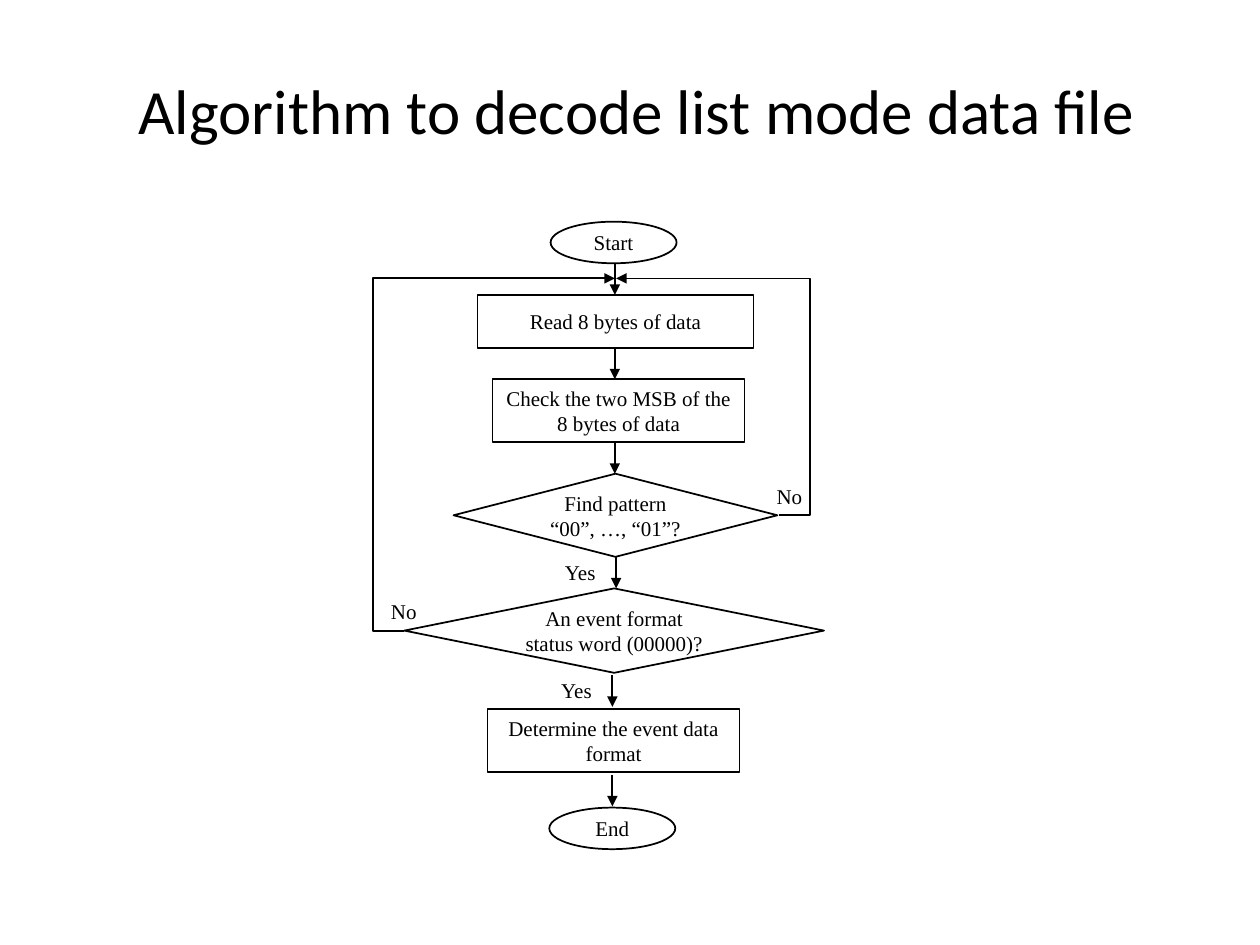
from dataclasses import dataclass

from lxml import etree
from pptx import Presentation
from pptx import util as u
from pptx.dml.color import RGBColor
from pptx.enum import shapes, text
from pptx.oxml.ns import qn


@dataclass(frozen=True)
class Theme:
    ink: RGBColor = RGBColor(0, 0, 0)
    paper: RGBColor = RGBColor(255, 255, 255)
    title_font: str = "Calibri"
    chart_font: str = "Times New Roman"
    title_size: int = 36
    chart_size: int = 12
    line_width: int = 1


class FlowSlide:
    def __init__(self, deck, theme):
        self.slide = deck.slides.add_slide(deck.slide_layouts[6])
        self.theme = theme

    def set_text(self, frame, words, font, size, align, **frame_format):
        for name, value in frame_format.items():
            setattr(frame, name, value)
        para = frame.paragraphs[0]
        para.alignment = align
        span = para.add_run()
        span.text = words
        for name, value in {"name": font, "size": u.Pt(size)}.items():
            setattr(span.font, name, value)
        span.font.color.rgb = self.theme.ink

    def outline(self, line):
        line.color.rgb = self.theme.ink
        line.width = u.Pt(self.theme.line_width)

    def node(self, kind, words, *place):
        shape = self.slide.shapes.add_shape(kind, *map(u.Inches, place))
        shape.shadow.inherit = False
        shape.fill.solid()
        shape.fill.fore_color.rgb = self.theme.paper
        self.outline(shape.line)
        self.set_text(shape.text_frame, words, self.theme.chart_font,
                      self.theme.chart_size, text.PP_ALIGN.CENTER,
                      word_wrap=True, vertical_anchor=text.MSO_ANCHOR.MIDDLE)

    def caption(self, words, *place, font=None, size=None,
                align=text.PP_ALIGN.CENTER):
        box = self.slide.shapes.add_textbox(*map(u.Inches, place))
        self.set_text(box.text_frame, words, font or self.theme.chart_font,
                      size or self.theme.chart_size, align, word_wrap=False,
                      auto_size=text.MSO_AUTO_SIZE.SHAPE_TO_FIT_TEXT)

    def title(self, words, *place):
        self.caption(words, *place, font=self.theme.title_font,
                     size=self.theme.title_size, align=text.PP_ALIGN.LEFT)

    def arrow(self, start, end, kind=shapes.MSO_CONNECTOR.STRAIGHT):
        link = self.slide.shapes.add_connector(
            kind, *map(u.Inches, (*start, *end)))
        self.outline(link.line)
        properties = link._element.spPr
        etree.SubElement(properties.find(qn("a:ln")), qn("a:tailEnd"),
                         type="triangle")
        etree.SubElement(properties, qn("a:effectLst"))
        return link

    def loop(self, start, end, lane):
        link = self.arrow(start, end, shapes.MSO_CONNECTOR.ELBOW)
        bend = (lane - start[0]) / (end[0] - start[0])
        guides = link._element.spPr.find(qn("a:prstGeom")).get_or_add_avLst()
        etree.SubElement(guides, qn("a:gd"), name="adj1",
                         fmla=f"val {round(bend * 100000)}")


def main():
    deck = Presentation()
    deck.slide_width, deck.slide_height = u.Inches(10), u.Inches(7.5)
    page = FlowSlide(deck, Theme())
    page.title("Algorithm to decode list mode data file", 1, 0.52, 8.18, 0.71)

    kinds = shapes.MSO_SHAPE
    oval, step, choice = (kinds.OVAL, kinds.RECTANGLE,
                          kinds.FLOWCHART_DECISION)
    for node in (
        (oval, "Start", 4.37, 1.76, 1, 0.33),
        (step, "Read 8 bytes of data", 3.79, 2.34, 2.19, 0.42),
        (step, "Check the two MSB of the 8 bytes of data", 3.91, 3.01, 2, 0.5),
        (choice, "Find pattern “00”, …, “01”?", 3.6, 3.76, 2.57, 0.66),
        (choice, "An event format status word (00000)?",
         3.21, 4.67, 3.33, 0.67),
        (step, "Determine the event data format", 3.87, 5.63, 2, 0.5),
        (oval, "End", 4.36, 6.41, 1, 0.33),
    ):
        page.node(*node)

    drop = 0.25
    for x, y in ((4.88, 2.09), (4.88, 2.76), (4.88, 3.51),
                 (4.89, 4.42), (4.86, 5.36), (4.86, 6.15)):
        page.arrow((x, y), (x, y + drop))

    page.loop((6.18, 4.09), (4.89, 2.21), lane=6.43)
    page.loop((3.21, 5.01), (4.88, 2.21), lane=2.96)

    for words, x, y, width in (("Yes", 4.38, 4.39, 0.45),
                               ("Yes", 4.35, 5.33, 0.45),
                               ("No", 6.06, 3.79, 0.41),
                               ("No", 3, 4.7, 0.41)):
        page.caption(words, x, y, width, 0.3)

    deck.save("out.pptx")


if __name__ == "__main__":
    main()
